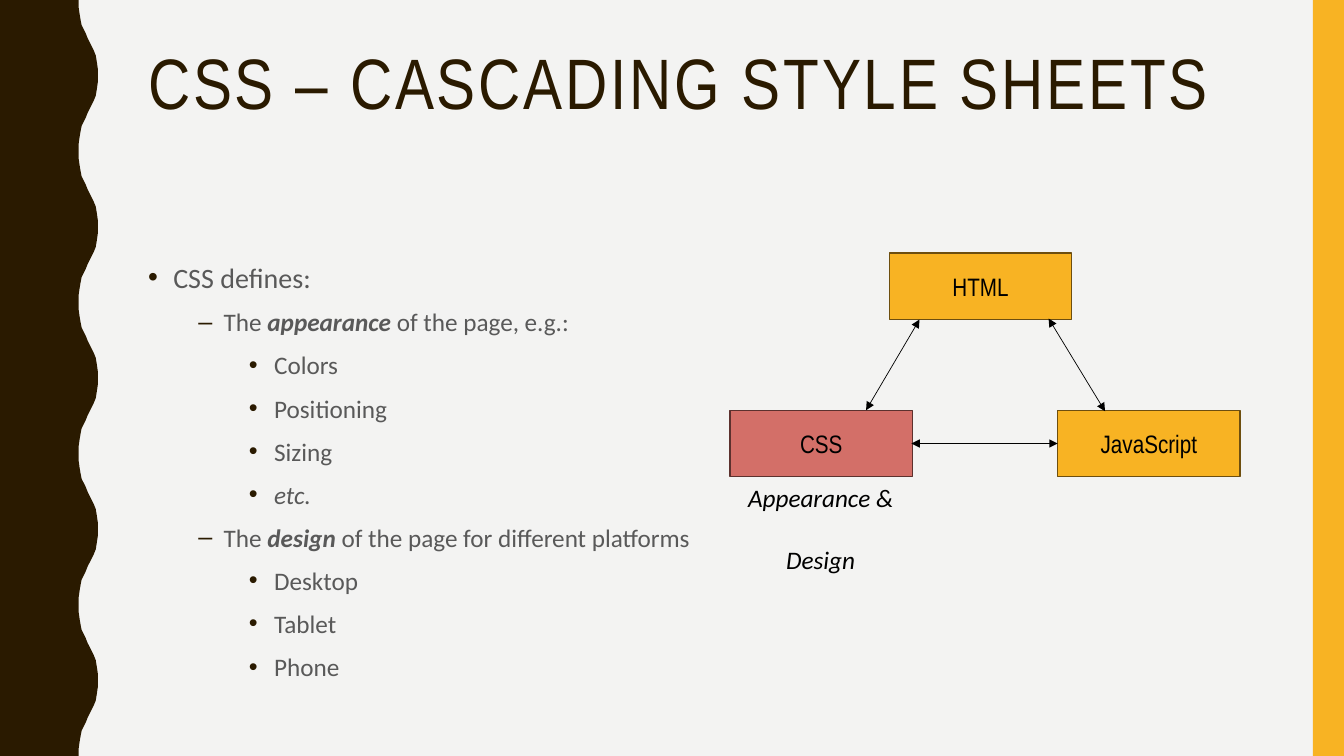
from lxml import etree
from pptx import Presentation
from pptx import util as u
from pptx.dml.color import RGBColor
from pptx.enum import shapes, text
from pptx.oxml import ns

PX = 9144
PAPER = RGBColor(0xF3, 0xF3, 0xF2)
BROWN = RGBColor(0x2A, 0x1A, 0x00)
AMBER = RGBColor(0xF8, 0xB3, 0x23)
AMBER_EDGE = RGBColor(0x6D, 0x4E, 0x0F)
RED = RGBColor(0xD3, 0x6F, 0x68)
RED_EDGE = RGBColor(0x5C, 0x31, 0x2E)
GRAY = RGBColor(0x59, 0x59, 0x59)
BLACK = RGBColor(0, 0, 0)

PLAIN, ITALIC = {}, {"italic": True}
STRONG = {"bold": True, "italic": True}
BOX_W, BOX_H = 181, 66
WAVE_PERIOD = 150
WAVE_RISE = [(78, 0), (78, 7), (79, 14), (80, 20), (81, 25), (83, 29), (85, 33), (87, 38),
             (89, 42), (91, 46), (93, 50), (95, 55), (96, 61), (97, 68), (97, 75)]
BULLETS = [
    (0, [("CSS defines:", PLAIN)]),
    (1, [("The ", PLAIN), ("appearance", STRONG), (" of the page, e.g.:", PLAIN)]),
    (2, [("Colors", PLAIN)]),
    (2, [("Positioning", PLAIN)]),
    (2, [("Sizing", PLAIN)]),
    (2, [("etc.", ITALIC)]),
    (1, [("The ", PLAIN), ("design ", STRONG), ("of the page for different platforms", PLAIN)]),
    (2, [("Desktop", PLAIN)]),
    (2, [("Tablet", PLAIN)]),
    (2, [("Phone", PLAIN)]),
]
BOXES = [
    ("HTML", 882, 251, AMBER, AMBER_EDGE),
    ("JavaScript", 1049, 407, AMBER, AMBER_EDGE),
    ("CSS", 724, 407, RED, RED_EDGE),
]
ARROWS = [(912, 317, 859, 407), (1040, 316, 1096, 408), (1049, 440, 904, 440)]


def px(*values):
    return [u.Emu(v * PX) for v in values]


def sub(parent, tag, **attrs):
    return etree.SubElement(parent, ns.qn(tag), attrs)


def apply(target, values):
    for name, value in values.items():
        setattr(target, name, value)


def add_run(p, words, size, face, color, **style):
    r = p.add_run()
    r.text = words
    apply(r.font, {"size": u.Pt(size), "name": face, **style})
    r.font.color.rgb = color
    return r


def paint(sp, fill, edge=None):
    sp.shadow.inherit = False
    sp.fill.solid()
    sp.fill.fore_color.rgb = fill
    if edge is None:
        sp.line.fill.background()
    else:
        sp.line.color.rgb = edge
        sp.line.width = u.Pt(1)


def add_wave(s, height):
    fall = [(x, WAVE_PERIOD - y) for x, y in WAVE_RISE[-2:0:-1]]
    points = [(x, top + y) for top in range(0, height, WAVE_PERIOD)
              for x, y in WAVE_RISE + fall]
    outline = s.shapes.build_freeform(0, 0, scale=PX)
    outline.add_line_segments(points + [(78, height), (0, height)], close=True)
    paint(outline.convert_to_shape(), BROWN)


def add_rect(s, x, y, w, h, fill, edge=None):
    sp = s.shapes.add_shape(shapes.MSO_SHAPE.RECTANGLE, *px(x, y, w, h))
    paint(sp, fill, edge)
    return sp


def add_title(s, words):
    sp = s.shapes.title
    apply(sp, dict(zip(("left", "top", "width", "height"), px(137, 42, 1113, 163))))
    tf = sp.text_frame
    apply(tf, {"word_wrap": True, "auto_size": text.MSO_AUTO_SIZE.NONE,
               "vertical_anchor": text.MSO_ANCHOR.TOP})
    p = tf.paragraphs[0]
    apply(p, {"alignment": text.PP_ALIGN.LEFT, "line_spacing": 0.9})
    r = add_run(p, words, 51, "Arial Narrow", BROWN)
    r.font._element.set("spc", "200")


def add_bullet(p, level):
    pPr = p._p.get_or_add_pPr()
    left, hang = px(25 + 50 * level, 25)
    pPr.set("marL", str(left))
    pPr.set("indent", str(-hang))
    sub(sub(pPr, "a:buClr"), "a:srgbClr", val=str(BROWN))
    sub(pPr, "a:buFont", typeface="Arial")
    sub(pPr, "a:buChar", char="–" if level == 1 else "•")


def add_body(s):
    tf = s.shapes.add_textbox(*px(137, 250, 649, 467)).text_frame
    tf.word_wrap = True
    for i, (level, runs) in enumerate(BULLETS):
        p = tf.add_paragraph() if i else tf.paragraphs[0]
        apply(p, {"level": level, "line_spacing": 1.1, "space_before": u.Pt(7)})
        add_bullet(p, level)
        for words, style in runs:
            add_run(p, words, 18 if level else 20, "Calibri", GRAY, **style)


def add_box(s, label, x, y, fill, edge):
    tf = add_rect(s, x, y, BOX_W, BOX_H, fill, edge).text_frame
    tf.vertical_anchor = text.MSO_ANCHOR.MIDDLE
    p = tf.paragraphs[0]
    p.alignment = text.PP_ALIGN.CENTER
    add_run(p, label, 18, "Arial Narrow", BLACK)


def add_arrow(s, *ends):
    c = s.shapes.add_connector(shapes.MSO_CONNECTOR.STRAIGHT, *px(*ends))
    c.line.color.rgb = BLACK
    c.line.width = u.Pt(0.5)
    for tag in ("a:headEnd", "a:tailEnd"):
        sub(c.line._get_or_add_ln(), tag, type="triangle")
    sub(c._element.spPr, "a:effectLst")


def add_caption(s, lines):
    tf = s.shapes.add_textbox(*px(732, 474, 164, 71)).text_frame
    tf.word_wrap = False
    for i, words in enumerate(lines):
        p = tf.add_paragraph() if i else tf.paragraphs[0]
        apply(p, {"alignment": text.PP_ALIGN.CENTER, "space_before": u.Pt(22 if i else 0)})
        add_run(p, words, 18, "Calibri", BLACK, **ITALIC)


def main():
    prs = Presentation()
    prs.slide_width, prs.slide_height = px(1333, 750)
    s = prs.slides.add_slide(prs.slide_layouts[5])
    s.background.fill.solid()
    s.background.fill.fore_color.rgb = PAPER
    add_wave(s, 750)
    add_rect(s, 1302, 0, 31, 750, AMBER)
    add_title(s, "CSS – CASCADING STYLE SHEETS")
    add_body(s)
    for box in BOXES:
        add_box(s, *box)
    for ends in ARROWS:
        add_arrow(s, *ends)
    add_caption(s, ["Appearance &", "Design"])
    prs.save("out.pptx")


if __name__ == "__main__":
    main()
